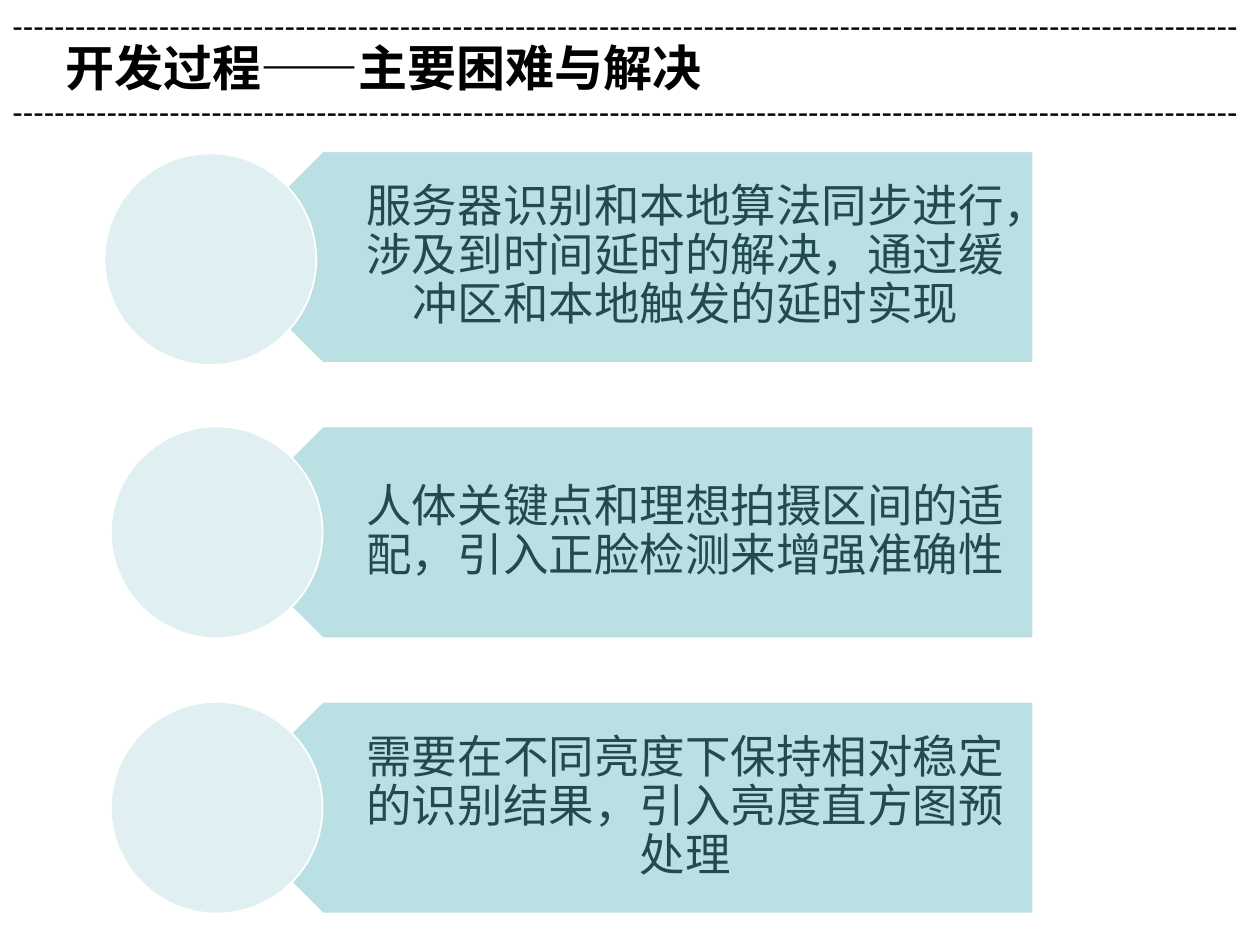
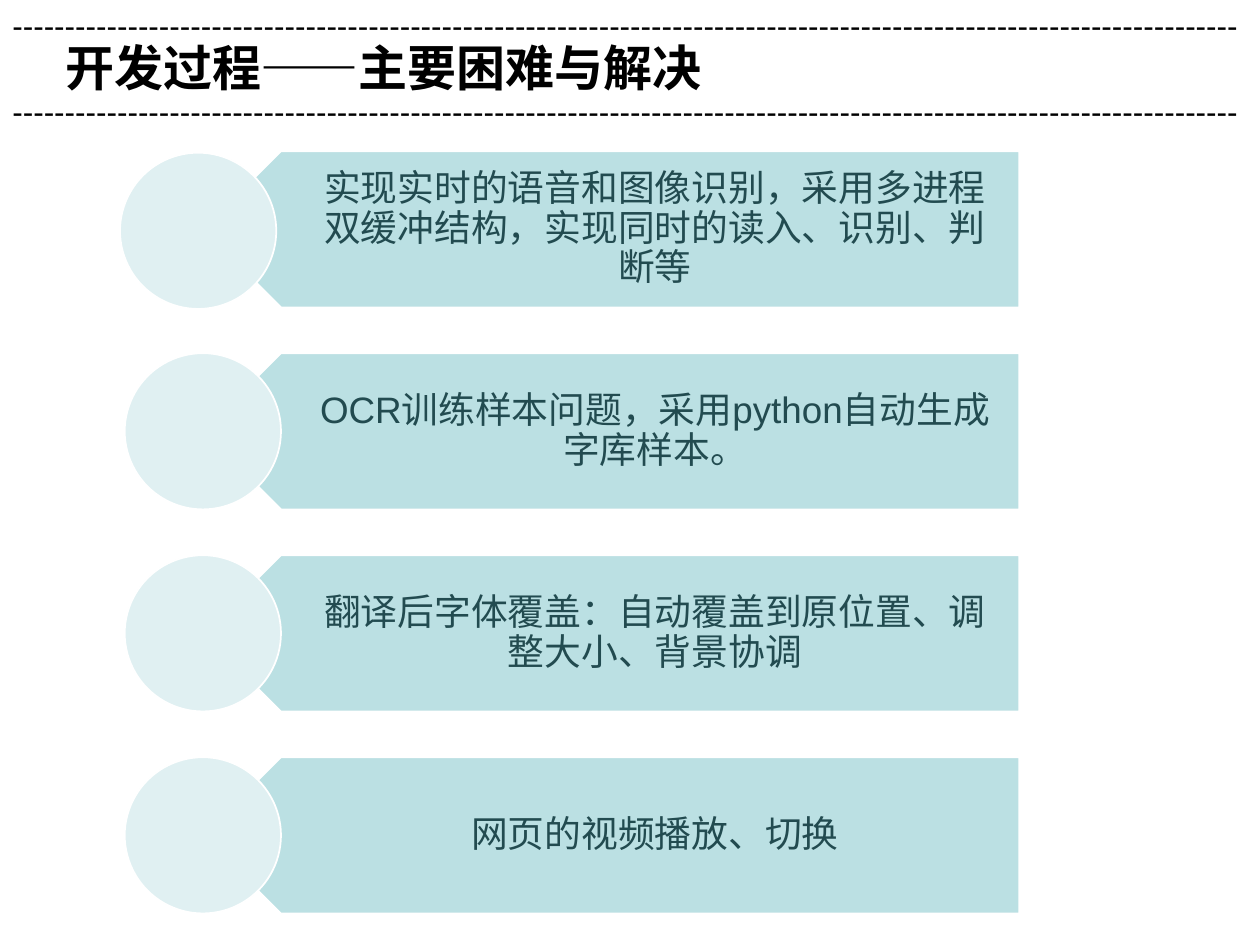
from pptx import Presentation
from pptx.util import Inches, Pt
from pptx.dml.color import RGBColor
from pptx.enum.shapes import MSO_SHAPE as SHAPE
from pptx.enum.text import PP_ALIGN as ALIGN, MSO_ANCHOR as ANCHOR, MSO_AUTO_SIZE as FIT

# Content: one entry per slide
TITLE = "开发过程——主要困难与解决"
RULE = "-" * 117
SLIDES = [
    dict(size=1.68, left=1.72, font=26, items=[
        "服务器识别和本地算法同步进行，涉及到时间延时的解决，通过缓冲区和本地触发的延时实现",
        "人体关键点和理想拍摄区间的适配，引入正脸检测来增强准确性",
        "需要在不同亮度下保持相对稳定的识别结果，引入亮度直方图预处理",
    ]),
    dict(size=1.24, left=1.61, font=21, items=[
        "实现实时的语音和图像识别，采用多进程双缓冲结构，实现同时的读入、识别、判断等",
        "OCR训练样本问题，采用python自动生成字库样本。",
        "翻译后字体覆盖：自动覆盖到原位置、调整大小、背景协调",
        "网页的视频播放、切换",
    ]),
]

# Shared style
FONT = "Arial"
BLACK = RGBColor(0x00, 0x00, 0x00)
WHITE = RGBColor(0xFF, 0xFF, 0xFF)
BAND = RGBColor(0xBB, 0xE0, 0xE3)
DISC = RGBColor(0xE0, 0xF0, 0xF2)
INK = RGBColor(0x22, 0x4B, 0x50)
WIDTH, HEIGHT = 10, 7.5
TOP, BOTTOM = 1.2, 7.25      # extent of the list
BAND_W = 6.48


def add_text(shapes, box, text, size, color, bold=None):
    sp = shapes.add_textbox(*map(Inches, box))
    tf = sp.text_frame
    tf.word_wrap = True
    p = tf.paragraphs[0]
    r = p.add_run()
    r.text = text
    r.font.name, r.font.size, r.font.bold = FONT, Pt(size), bold
    r.font.color.rgb = color
    return tf, p


def add_plain(shapes, kind, box, fill):
    sp = shapes.add_shape(kind, *map(Inches, box))
    sp.shadow.inherit = False
    sp.fill.solid()
    sp.fill.fore_color.rgb = fill
    sp.line.color.rgb = WHITE
    sp.line.width = Pt(1)
    return sp


def add_header(s):
    for box, text, size, bold in [
        ((0.42, 0.25, 7.83, 0.57), TITLE, 28, True),
        ((0, 0, WIDTH, 0.4), RULE, 18, None),
        ((0, 0.68, WIDTH, 0.4), RULE, 18, None),
    ]:
        tf, p = add_text(s.shapes, box, text, size, BLACK, bold)
        tf.auto_size = FIT.SHAPE_TO_FIT_TEXT


def add_list(s, size, left, font, items):
    shapes = s.shapes.add_group_shape().shapes
    pitch = (BOTTOM - TOP - size) / (len(items) - 1)
    for i, text in enumerate(items):
        y = TOP + i * pitch

        # Band pointing left
        band = add_plain(shapes, SHAPE.PENTAGON, (left, y, BAND_W, size), BAND)
        band.rotation = 180

        # Label, clear of the arrow point; insets follow the disc and font
        indent = size / 4
        tf, p = add_text(shapes, (left + indent, y, BAND_W - indent, size), text, font, INK)
        tf.vertical_anchor = ANCHOR.MIDDLE
        tf.margin_left = Inches(0.44 * size)
        tf.margin_right = Pt(0.55 * font)
        tf.margin_top = tf.margin_bottom = Pt(0.3 * font)
        p.alignment, p.line_spacing = ALIGN.CENTER, 0.9

        # Disc centred on the point; the first one sits slightly off
        dx, dy = (-0.03 * size, 0.01 * size) if i == 0 else (0, 0)
        add_plain(shapes, SHAPE.OVAL, (left - size / 2 + dx, y + dy, size, size), DISC)


prs = Presentation()
prs.slide_width, prs.slide_height = Inches(WIDTH), Inches(HEIGHT)
for content in SLIDES:
    s = prs.slides.add_slide(prs.slide_layouts[6])
    add_header(s)
    add_list(s, **content)
prs.save("out.pptx")
